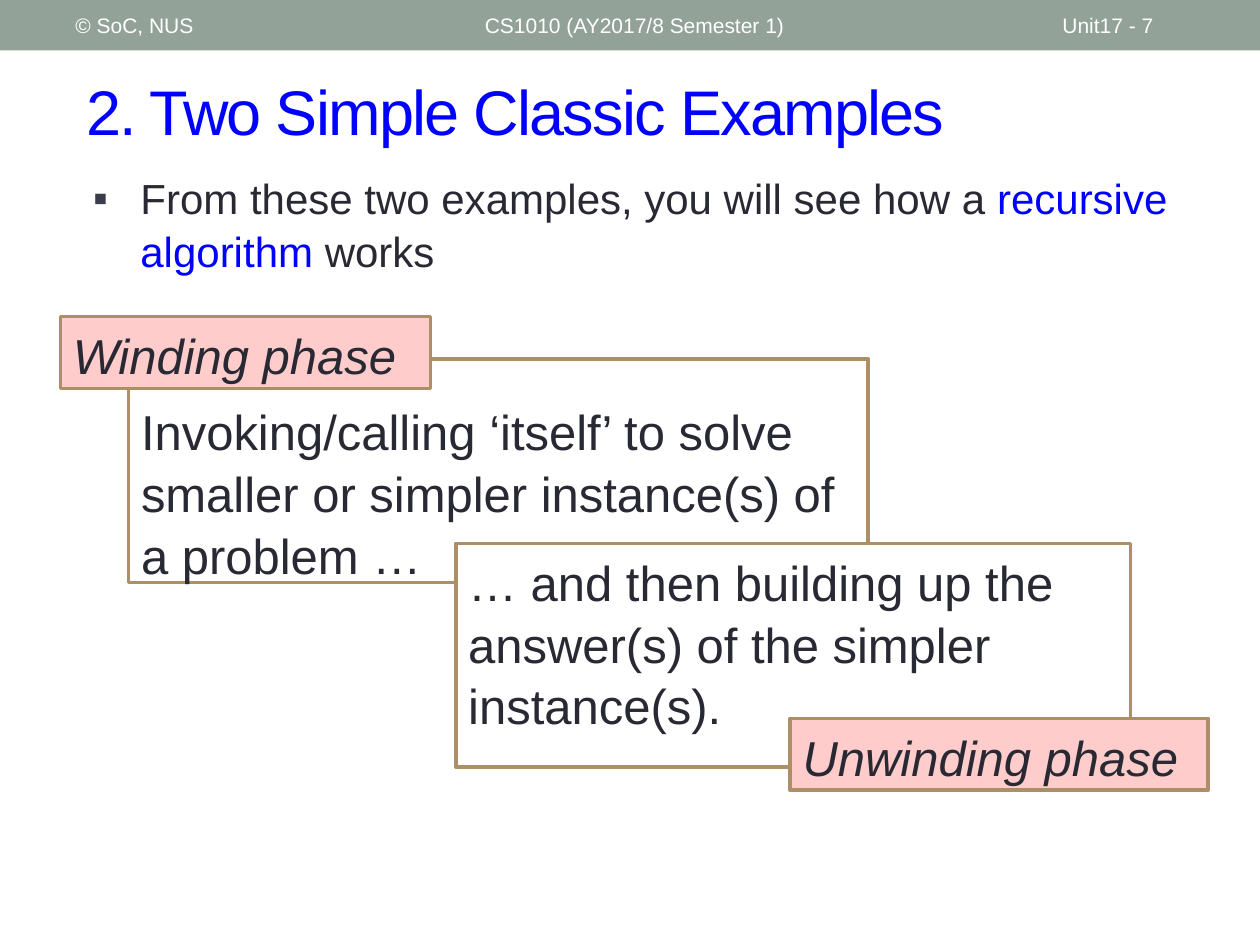
"""Builds the lecture slide on the winding and unwinding phases of recursion."""
from dataclasses import dataclass

from lxml import etree
from pptx import Presentation
from pptx import util as u
from pptx.dml.color import RGBColor
from pptx.enum import shapes, text
from pptx.oxml.ns import qn


@dataclass(frozen=True)
class Theme:
    font: str = "Arial"
    ink: str = "292934"
    accent: str = "0000FF"
    bullet: str = "3B3B4B"
    bar: str = "93A299"
    paper: str = "FFFFFF"
    label: str = "FFCCCC"
    border: str = "AD8F67"
    header_size: float = 12
    title_size: float = 36
    body_size: float = 24
    box_size: float = 28
    border_width: float = 2.08
    line_spacing: float = 1.05


class SlideBuilder:
    def __init__(self, slide, theme):
        self.slide = slide
        self.theme = theme

    def place(self, shape, left, top, width, height):
        shape.left, shape.top = u.Pt(left), u.Pt(top)
        shape.width, shape.height = u.Pt(width), u.Pt(height)

    def frame(self, shape, anchor):
        frame = shape.text_frame
        frame.word_wrap = True
        frame.auto_size = text.MSO_AUTO_SIZE.NONE
        frame.vertical_anchor = anchor
        return frame

    def style(self, paragraph, size, color, spacing=1.0):
        paragraph.alignment = text.PP_ALIGN.LEFT
        paragraph.space_before = u.Pt(0)
        paragraph.line_spacing = spacing
        paragraph.font.name = self.theme.font
        paragraph.font.size = u.Pt(size)
        paragraph.font.color.rgb = RGBColor.from_string(color)

    def rectangle(self, bounds, fill, border=None):
        shape = self.slide.shapes.add_shape(
            shapes.MSO_SHAPE.RECTANGLE, *(u.Pt(length) for length in bounds))
        shape.shadow.inherit = False
        shape.fill.solid()
        shape.fill.fore_color.rgb = RGBColor.from_string(fill)
        if border:
            shape.line.color.rgb = RGBColor.from_string(border)
            shape.line.width = u.Pt(self.theme.border_width)
        else:
            shape.line.fill.background()
        return shape

    def header(self, words, left, width):
        shape = self.slide.shapes.add_textbox(
            u.Pt(left), u.Pt(1.5), u.Pt(width), u.Pt(26))
        paragraph = self.frame(shape, text.MSO_ANCHOR.MIDDLE).paragraphs[0]
        paragraph.text = words
        self.style(paragraph, self.theme.header_size, self.theme.paper)

    def title(self, words, bounds):
        shape = self.slide.shapes.title
        self.place(shape, *bounds)
        paragraph = self.frame(shape, text.MSO_ANCHOR.MIDDLE).paragraphs[0]
        run = paragraph.add_run()
        run.text = words
        run.font._element.set("spc", "-100")
        self.style(paragraph, self.theme.title_size, self.theme.accent)

    def bullet(self, pieces, bounds, indent):
        shape = self.slide.placeholders[1]
        self.place(shape, *bounds)
        paragraph = self.frame(shape, text.MSO_ANCHOR.TOP).paragraphs[0]
        properties = paragraph._p.get_or_add_pPr()
        properties.set("marL", str(u.Pt(indent)))
        properties.set("indent", str(-u.Pt(indent)))
        color = etree.SubElement(properties, qn("a:buClr"))
        etree.SubElement(color, qn("a:srgbClr"), val=self.theme.bullet)
        etree.SubElement(properties, qn("a:buFont"), typeface=self.theme.font)
        etree.SubElement(properties, qn("a:buChar"), char="▪")
        self.style(paragraph, self.theme.body_size, self.theme.ink,
                   self.theme.line_spacing)
        for words, color in pieces:
            run = paragraph.add_run()
            run.text = words
            run.font.color.rgb = RGBColor.from_string(color)

    def box(self, words, bounds, fill, inset=3.6, italic=False):
        shape = self.rectangle(bounds, fill, self.theme.border)
        frame = self.frame(shape, text.MSO_ANCHOR.TOP)
        frame.margin_top = u.Pt(inset)
        paragraph = frame.paragraphs[0]
        paragraph.text = words
        self.style(paragraph, self.theme.box_size, self.theme.ink,
                   self.theme.line_spacing)
        paragraph.font.italic = italic


def main():
    presentation = Presentation()
    presentation.slide_width, presentation.slide_height = u.Pt(720), u.Pt(540)
    theme = Theme()
    slide = presentation.slides.add_slide(presentation.slide_layouts[1])
    builder = SlideBuilder(slide, theme)

    builder.rectangle((0, 0, 720, 28.8), theme.bar)
    builder.header("© SoC, NUS", 36, 228)
    builder.header("CS1010 (AY2017/8 Semester 1)", 270, 324)
    builder.header("Unit17 - 7", 600, 84)

    builder.title("2. Two Simple Classic Examples", (42, 30, 660, 66))
    builder.bullet([("From these two examples, you will see how a ", theme.ink),
                    ("recursive algorithm ", theme.accent),
                    ("works", theme.ink)], (46, 93.6, 648, 81.4), 27)

    builder.box("Invoking/calling ‘itself’ to solve smaller or simpler "
                "instance(s) of a problem …",
                (73.5, 205, 422.5, 128), theme.paper, inset=22.9)
    builder.box("… and then building up the answer(s) of the simpler "
                "instance(s).", (260.5, 310.5, 385.5, 128), theme.paper)
    builder.box("Winding phase", (34.5, 181, 211.5, 41), theme.label,
                italic=True)
    builder.box("Unwinding phase", (451.5, 410.5, 239, 41), theme.label,
                italic=True)
    presentation.save("out.pptx")


if __name__ == "__main__":
    main()
